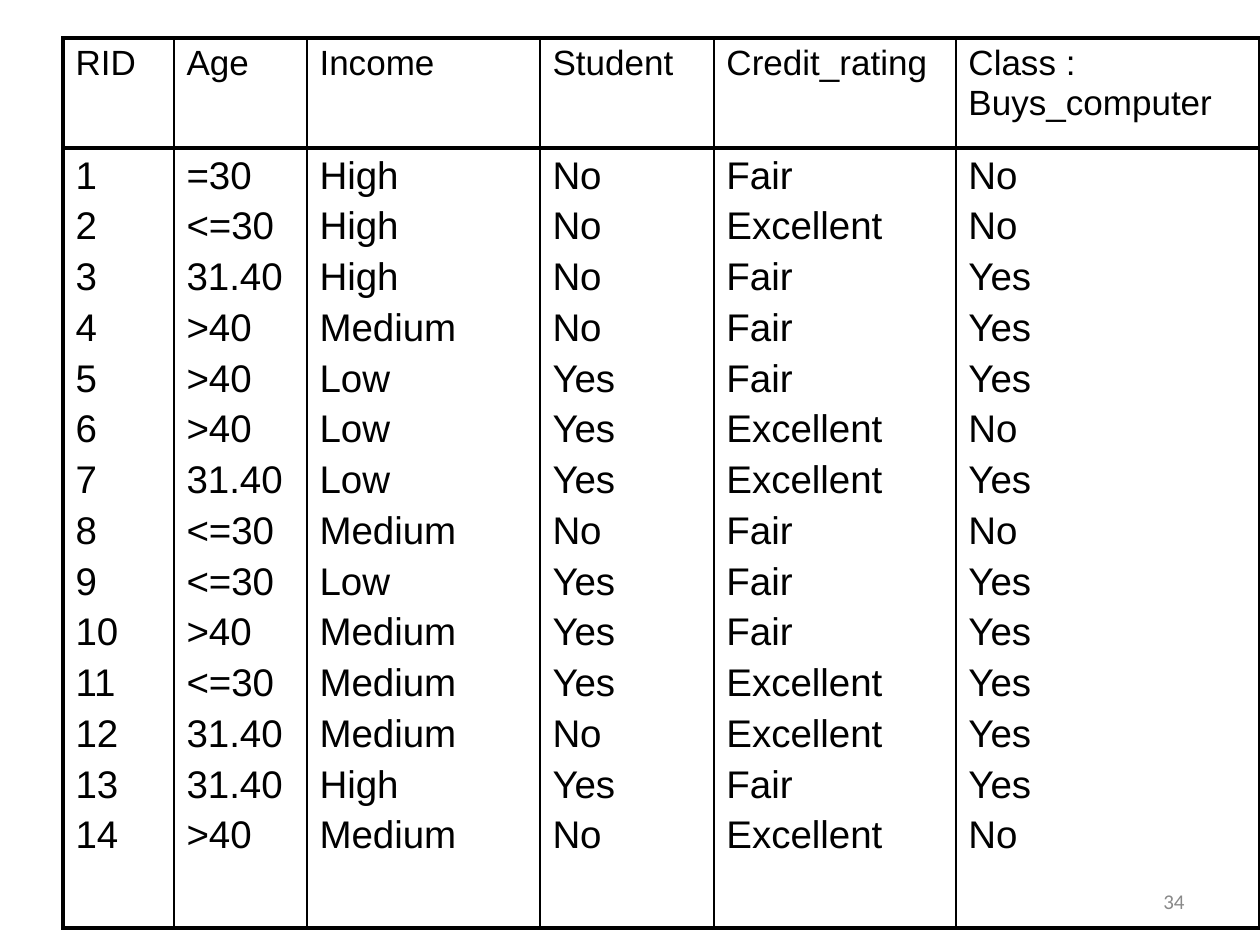
from dataclasses import dataclass

from lxml import etree
from pptx import Presentation
from pptx import util as u
from pptx.dml.color import RGBColor
from pptx.enum import text
from pptx.oxml.ns import qn


@dataclass(frozen=True)
class Theme:
    ink: str = "000000"
    muted: str = "898989"
    font: str = "Arial"
    number_font: str = "Calibri"
    header_size: int = 20
    body_size: int = 22
    number_size: int = 12
    space_before: float = 4.4
    thick: float = 2.25
    thin: float = 1


THEME = Theme()
EMU_PER_PX = 914400 / 126

HEADERS = ["RID", "Age", "Income", "Student", "Credit_rating", "Class : Buys_computer"]
RECORDS = [
    ("1", "=30", "High", "No", "Fair", "No"),
    ("2", "<=30", "High", "No", "Excellent", "No"),
    ("3", "31.40", "High", "No", "Fair", "Yes"),
    ("4", ">40", "Medium", "No", "Fair", "Yes"),
    ("5", ">40", "Low", "Yes", "Fair", "Yes"),
    ("6", ">40", "Low", "Yes", "Excellent", "No"),
    ("7", "31.40", "Low", "Yes", "Excellent", "Yes"),
    ("8", "<=30", "Medium", "No", "Fair", "No"),
    ("9", "<=30", "Low", "Yes", "Fair", "Yes"),
    ("10", ">40", "Medium", "Yes", "Fair", "Yes"),
    ("11", "<=30", "Medium", "Yes", "Excellent", "Yes"),
    ("12", "31.40", "Medium", "No", "Excellent", "Yes"),
    ("13", "31.40", "High", "Yes", "Fair", "Yes"),
    ("14", ">40", "Medium", "No", "Excellent", "No"),
]
COLUMN_WIDTHS = [111, 133, 233, 174, 242, 304]
ROW_HEIGHTS = [110, 780]


def px(n):
    return u.Emu(round(n * EMU_PER_PX))


def add_run(p, content, font, size, color):
    r = p.add_run()
    r.text = content
    r.font.name = font
    r.font.size = u.Pt(size)
    r.font.bold = False
    r.font.color.rgb = RGBColor.from_string(color)


def set_borders(cell, widths):
    tc_pr = cell._tc.get_or_add_tcPr()
    for i, (side, width) in enumerate(widths.items()):
        ln = etree.Element(qn(f"a:ln{side}"), w=str(u.Pt(width)))
        fill = etree.SubElement(ln, qn("a:solidFill"))
        etree.SubElement(fill, qn("a:srgbClr"), val=THEME.ink)
        tc_pr.insert(i, ln)


def fill_cell(cell, lines, size):
    cell.margin_left = cell.margin_right = u.Inches(0.1)
    cell.margin_top = cell.margin_bottom = u.Inches(0.05)
    cell.fill.background()
    tf = cell.text_frame
    for i, line in enumerate(lines):
        p = tf.add_paragraph() if i else tf.paragraphs[0]
        if i:
            p.space_before = u.Pt(THEME.space_before)
        add_run(p, line, THEME.font, size, THEME.ink)


def add_records_table(s, x, y, w, h):
    columns = list(zip(*RECORDS))
    table = s.shapes.add_table(2, len(HEADERS), px(x), px(y), px(w), px(h)).table
    table.first_row = table.horz_banding = False
    for row, height in zip(table.rows, ROW_HEIGHTS):
        row.height = px(height)
    last = len(HEADERS) - 1
    for c, width in enumerate(COLUMN_WIDTHS):
        table.columns[c].width = px(width)
        fill_cell(table.cell(0, c), [HEADERS[c]], THEME.header_size)
        fill_cell(table.cell(1, c), columns[c], THEME.body_size)
        borders = {
            "L": THEME.thick if c == 0 else THEME.thin,
            "R": THEME.thick if c == last else THEME.thin,
            "T": THEME.thick,
            "B": THEME.thick,
        }
        for r in range(2):
            set_borders(table.cell(r, c), borders)


def add_slide_number(s, x, y, w, h):
    tf = s.shapes.add_textbox(px(x), px(y), px(w), px(h)).text_frame
    tf.word_wrap = True
    tf.vertical_anchor = text.MSO_ANCHOR.MIDDLE
    p = tf.paragraphs[0]
    p.alignment = text.PP_ALIGN.RIGHT
    add_run(p, "34", THEME.number_font, THEME.number_size, THEME.muted)


def main():
    prs = Presentation()
    prs.slide_width, prs.slide_height = px(1260), px(945)
    s = prs.slides.add_slide(prs.slide_layouts[6])
    add_slide_number(s, 903, 876, 294, 50)
    add_records_table(s, 63, 38, sum(COLUMN_WIDTHS), sum(ROW_HEIGHTS))
    prs.save("out.pptx")


if __name__ == "__main__":
    main()
